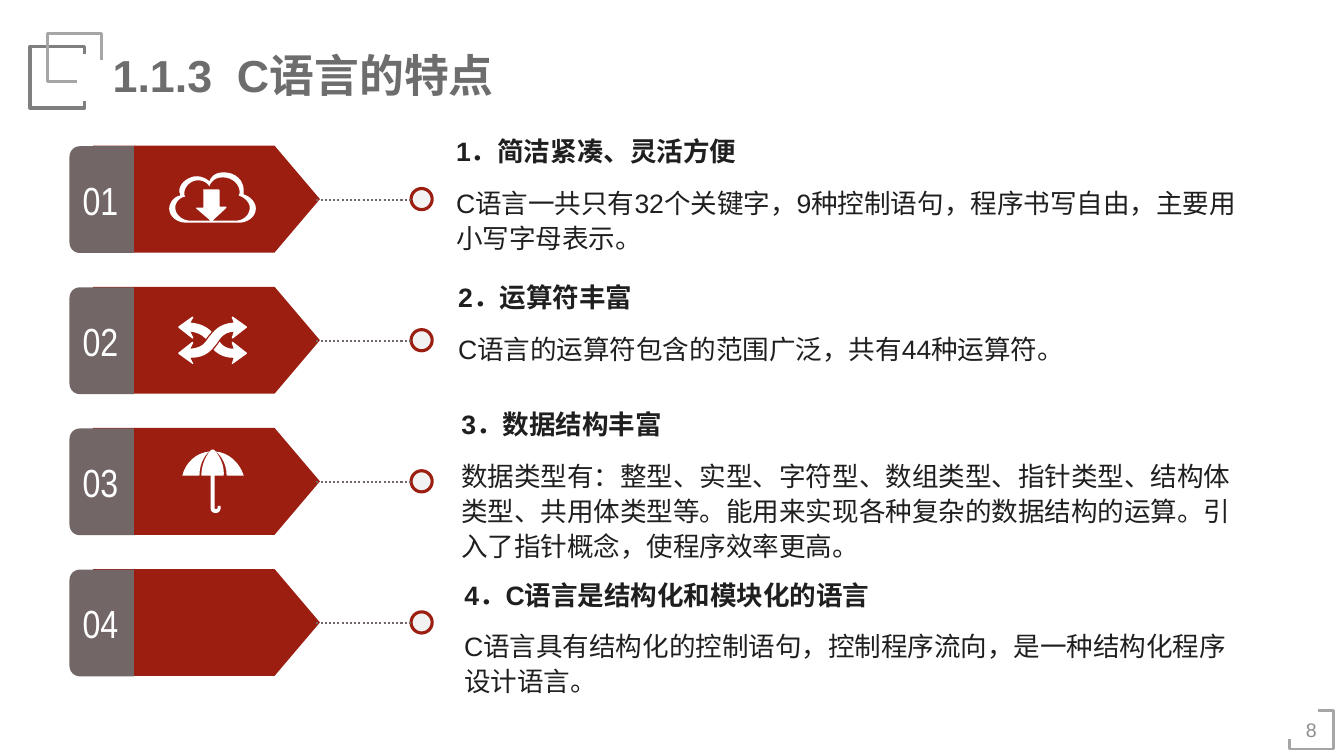
from lxml import etree
from pptx import Presentation
from pptx.dml.color import RGBColor
from pptx.enum.dml import MSO_LINE
from pptx.enum.shapes import MSO_CONNECTOR, MSO_SHAPE as SHAPE
from pptx.enum.text import MSO_ANCHOR as ANCHOR, MSO_AUTO_SIZE as FIT, PP_ALIGN as ALIGN
from pptx.oxml.ns import qn
from pptx.util import Inches, Pt


def color(value):
    return RGBColor.from_string(value)


def draw_outline(page, contours, closed):
    """Draw contours in inches; a pair is a line, six numbers are a Bezier curve."""
    builder = None
    steps = 8
    for contour in contours:
        points = [contour[0]]
        for part in contour[1:]:
            if len(part) == 2:
                points.append(part)
                continue
            ends = (points[-1], part[:2], part[2:4], part[4:])
            for step in range(1, steps + 1):
                t = step / steps
                weights = ((1 - t) ** 3, 3 * t * (1 - t) ** 2, 3 * t * t * (1 - t), t ** 3)
                points.append(tuple(sum(w * end[axis] for w, end in zip(weights, ends))
                                    for axis in (0, 1)))
        points = [(Inches(x), Inches(y)) for x, y in points]
        if builder is None:
            builder = page.shapes.build_freeform(*points[0])
        else:
            builder.move_to(*points[0])
        builder.add_line_segments(points[1:], close=closed)
    outline = builder.convert_to_shape()
    outline.shadow.inherit = False
    return outline


deck = Presentation()
deck.slide_width, deck.slide_height = Inches(13.34), Inches(7.5)
page = deck.slides.add_slide(deck.slide_layouts[6])

# Corner frames
frames = [
    ([(0.84, 0.54), (0.84, 0.46), (0.3, 0.46), (0.3, 1.07), (0.84, 1.07), (0.84, 1)],
     "7F7F7F", 2.5),
    ([(1.01, 0.6), (1.01, 0.33), (0.47, 0.33), (0.47, 0.81), (0.76, 0.81)], "A6A6A6", 2.5),
    ([(12.8, 7.33), (12.8, 7.43), (13.24, 7.43), (13.24, 7.05), (13.08, 7.05)], "A6A6A6", 2),
]
for corners, tint, weight in frames:
    frame = draw_outline(page, [corners], closed=False)
    frame.fill.background()
    frame.line.color.rgb = color(tint)
    frame.line.width = Pt(weight)

# Title, page number, headings and explanations
features = [
    (4.43, 1.29, 7.96, 0.8, "1．简洁紧凑、灵活方便",
     "C语言一共只有32个关键字，9种控制语句，程序书写自由，主要用小写字母表示。"),
    (4.45, 2.74, 6.84, 0.45, "2．运算符丰富",
     "C语言的运算符包含的范围广泛，共有44种运算符。"),
    (4.48, 4, 8.01, 1.14, "3．数据结构丰富",
     "数据类型有：整型、实型、字符型、数组类型、指针类型、结构体类型、共用体类型等。"
     "能用来实现各种复杂的数据结构的运算。引入了指针概念，使程序效率更高。"),
    (4.51, 5.69, 7.9, 0.8, "4．C语言是结构化和模块化的语言",
     "C语言具有结构化的控制语句，控制程序流向，是一种结构化程序设计语言。"),
]
texts = [
    (1.02, 0.42, 4.09, 0.63, "1.1.3  C语言的特点", 32, "6D6D6D", True, None),
    (12.8, 6.97, 0.43, 0.54, "8", 14, "8F8F8F", False, None),
]
for left, top, width, height, heading, body in features:
    texts.append((left, top, 5.01, 0.42, heading, 19, "1F1F1F", True, None))
    texts.append((left, top + 0.48, width, height, body, 19, "1F1F1F", False, 1.1))
for left, top, width, height, words, size, tint, bold, spacing in texts:
    box = page.shapes.add_textbox(Inches(left), Inches(top), Inches(width), Inches(height))
    frame = box.text_frame
    frame.word_wrap = True
    frame.auto_size = FIT.SHAPE_TO_FIT_TEXT
    para = frame.paragraphs[0]
    para.text = words
    para.line_spacing = spacing
    para.font.name, para.font.size, para.font.bold = "Arial", Pt(size), bold
    para.font.color.rgb = color(tint)
    if words == "8":
        para.alignment = ALIGN.CENTER
        frame.vertical_anchor = ANCHOR.MIDDLE
        frame.margin_left = frame.margin_right = Inches(0.07)
        frame.margin_top = frame.margin_bottom = Inches(0.04)

# Icons
cloud = [
    [(2.42, 1.93), (2.42, 1.92, 2.42, 1.9, 2.42, 1.89), (2.42, 1.79, 2.34, 1.71, 2.22, 1.71),
     (2.1, 1.71, 2.08, 1.8, 2.08, 1.8), (2.08, 1.8, 2.02, 1.74, 1.93, 1.75),
     (1.84, 1.77, 1.78, 1.83, 1.78, 1.9), (1.78, 1.91, 1.79, 1.92, 1.79, 1.94),
     (1.73, 1.95, 1.68, 2.01, 1.68, 2.07), (1.68, 2.15, 1.76, 2.21, 1.85, 2.21), (2.37, 2.21),
     (2.46, 2.21, 2.54, 2.15, 2.54, 2.07), (2.54, 2.01, 2.49, 1.95, 2.42, 1.93)],
    [(2.34, 2.19), (2.11, 2.19), (2.24, 2.07), (2.24, 2.07, 2.26, 2.05, 2.24, 2.05),
     (2.18, 2.05), (2.18, 1.89), (2.18, 1.89, 2.18, 1.88, 2.17, 1.88), (2.03, 1.88),
     (2.01, 1.88, 2.02, 1.89, 2.02, 1.89), (2.02, 2.06), (1.96, 2.06),
     (1.94, 2.06, 1.95, 2.07, 1.95, 2.07), (2.09, 2.19), (1.89, 2.19),
     (1.81, 2.19, 1.74, 2.13, 1.74, 2.06), (1.74, 2.01, 1.78, 1.96, 1.84, 1.95),
     (1.83, 1.94, 1.83, 1.93, 1.83, 1.92), (1.83, 1.86, 1.88, 1.8, 1.95, 1.79),
     (2.04, 1.78, 2.08, 1.85, 2.08, 1.85), (2.08, 1.85, 2.1, 1.76, 2.21, 1.76),
     (2.31, 1.76, 2.38, 1.83, 2.38, 1.91), (2.38, 1.92, 2.37, 1.94, 2.37, 1.94),
     (2.43, 1.96, 2.48, 2.01, 2.48, 2.06), (2.48, 2.13, 2.42, 2.19, 2.34, 2.19)],
]
shuffle = [
    [(2.45, 3.5), (2.45, 3.51), (2.31, 3.61), (2.3, 3.61), (2.32, 3.55),
     (2.22, 3.55, 2.16, 3.51, 2.12, 3.47), (2.14, 3.45, 2.15, 3.43, 2.16, 3.42),
     (2.18, 3.39), (2.21, 3.43, 2.25, 3.46, 2.32, 3.46), (2.3, 3.4), (2.31, 3.39)],
    [(1.91, 3.36), (1.92, 3.35), (1.89, 3.29), (1.97, 3.3, 2.01, 3.33, 2.04, 3.36),
     (2.05, 3.36, 2.05, 3.35, 2.06, 3.34), (2.1, 3.29), (2.06, 3.25, 2, 3.21, 1.89, 3.2),
     (1.92, 3.15), (1.91, 3.14), (1.77, 3.24), (1.77, 3.25)],
    [(2.15, 3.41), (2.19, 3.35, 2.22, 3.3, 2.32, 3.29), (2.3, 3.35), (2.31, 3.36),
     (2.45, 3.25), (2.45, 3.24), (2.31, 3.14), (2.3, 3.15), (2.32, 3.2),
     (2.17, 3.21, 2.12, 3.29, 2.07, 3.35), (2.03, 3.41, 2, 3.45, 1.89, 3.46),
     (1.92, 3.4), (1.91, 3.39), (1.77, 3.5), (1.77, 3.51), (1.91, 3.61), (1.92, 3.61),
     (1.89, 3.55), (2.05, 3.55, 2.1, 3.47, 2.15, 3.41)],
]
umbrella = [
    [(2.25, 4.72), (2.42, 4.72), (2.38, 4.59, 2.27, 4.49, 2.14, 4.48),
     (2.13, 4.47, 2.13, 4.46, 2.11, 4.46), (2.1, 4.46, 2.09, 4.47, 2.08, 4.48),
     (1.95, 4.49, 1.84, 4.59, 1.81, 4.72), (1.98, 4.72),
     (1.98, 4.57, 2.06, 4.49, 2.08, 4.48), (1.99, 4.6, 2, 4.72, 2, 4.72),
     (2.09, 4.72), (2.09, 5.04), (2.09, 5.07, 2.11, 5.09, 2.14, 5.09),
     (2.17, 5.09, 2.19, 5.07, 2.19, 5.04), (2.19, 5.02), (2.16, 5.02), (2.16, 5.04),
     (2.16, 5.05, 2.15, 5.05, 2.14, 5.05), (2.13, 5.05, 2.13, 5.05, 2.13, 5.04),
     (2.13, 4.72), (2.22, 4.72), (2.22, 4.72, 2.24, 4.6, 2.14, 4.48),
     (2.16, 4.49, 2.25, 4.57, 2.25, 4.72)],
]

# Numbered arrows, each with a dotted line to a ring
for row, icon in enumerate([cloud, shuffle, umbrella, None]):
    middle = 1.98 + 1.4 * row
    arrow = page.shapes.add_shape(SHAPE.FLOWCHART_OFFPAGE_CONNECTOR, Inches(1.52),
                                  Inches(middle - 1.13), Inches(1.06), Inches(2.25))
    tab = page.shapes.add_shape(SHAPE.ROUND_2_SAME_RECTANGLE, Inches(0.48),
                                Inches(middle - 0.32), Inches(1.06), Inches(0.64))
    tab.adjustments[0] = 0.16
    ring = page.shapes.add_shape(SHAPE.OVAL, Inches(4.08), Inches(middle - 0.11),
                                 Inches(0.21), Inches(0.21))
    parts = [(arrow, "9B1E11", 270), (tab, "736666", 270), (ring, "F2F2F2", 0)]
    if icon:
        parts.append((draw_outline(page, icon, closed=True), "FFFFFF", 0))
    for part, tint, angle in parts:
        part.rotation = angle
        part.shadow.inherit = False
        part.fill.solid()
        part.fill.fore_color.rgb = color(tint)
        part.line.fill.background()
    ring.line.color.rgb = color("9B1E11")
    ring.line.width = Pt(2.25)

    frame = tab.text_frame
    frame.margin_left = frame.margin_right = Inches(0.05)
    frame.margin_top = frame.margin_bottom = Inches(0.1)
    frame.vertical_anchor = ANCHOR.MIDDLE
    tab.element.txBody.find(qn("a:bodyPr")).set("vert", "eaVert")
    para = frame.paragraphs[0]
    para.text = f"{row + 1:02}"
    para.alignment = ALIGN.CENTER
    para.font.name, para.font.size = "Arial Narrow", Pt(28)
    para.font.color.rgb = color("FFFFFF")

    link = page.shapes.add_connector(MSO_CONNECTOR.STRAIGHT, Inches(3.14), Inches(middle),
                                     Inches(4.08), Inches(middle))
    link.line.color.rgb = color("736666")
    link.line.width = Pt(1.5)
    link.line.dash_style = MSO_LINE.ROUND_DOT
    etree.SubElement(link.element.spPr, qn("a:effectLst"))

deck.save("out.pptx")
